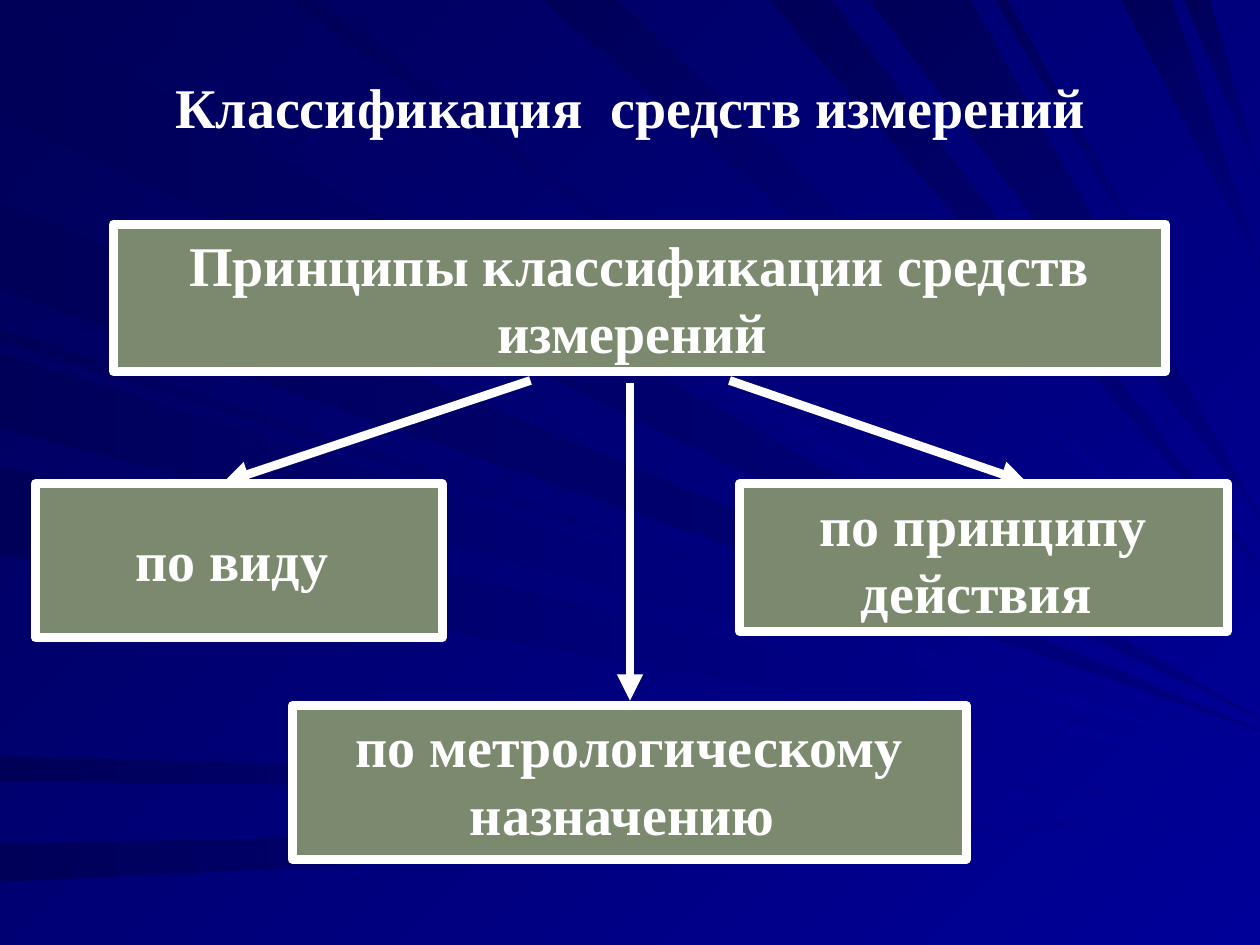
"""Build a slide showing how measuring instruments are classified."""
from lxml import etree
from pptx import Presentation
from pptx.dml.color import RGBColor
from pptx.enum.shapes import MSO_CONNECTOR, MSO_SHAPE
from pptx.enum.text import MSO_ANCHOR, PP_ALIGN
from pptx.oxml.ns import qn
from pptx.util import Inches, Pt

WHITE = RGBColor(0xFF, 0xFF, 0xFF)
OLIVE = RGBColor(0x7B, 0x8A, 0x6E)
NIGHT = RGBColor(0x00, 0x00, 0x58)
NAVY = RGBColor(0x00, 0x00, 0x80)
BLUE = RGBColor(0x00, 0x00, 0x99)
FONT = "Times New Roman"

LEFT_RAYS = [
    (0, 0.9, 5.7, NAVY), (6, 6.2, 6.3, BLUE), (6.7, 7, 6.5, BLUE),
    (1.6, 2.3, 5.8, NAVY), (2.6, 2.7, 5.9, BLUE), (2.8, 3.4, 6, BLUE),
    (3.7, 4.4, 6.1, BLUE),
]
TOP_RAYS = [
    (0.3, 1, 5.6, BLUE), (2.3, 2.5, 5.5, BLUE), (4.3, 4.9, 4.9, BLUE),
    (6.1, 6.6, 4.5, NAVY), (6.9, 7.7, 4.1, NAVY), (7.9, 8, 3.6, BLUE),
    (8.9, 9.3, 2.1, NAVY), (9.4, 9.6, 1.4, NAVY),
]

BOXES = [
    ("Принципы классификации средств измерений ", 0.9, 1.78, 8.35, 1.17, 0.05),
    ("по виду ", 0.28, 3.84, 3.23, 1.22, 0.33),
    ("по принципу действия ", 5.87, 3.84, 3.87, 1.17, 0.05),
    ("по метрологическому назначению ", 2.32, 5.6, 5.35, 1.22, 0.05),
]

ARROWS = [(4.21, 3.02, 1.77, 3.83), (5.79, 3.02, 8.15, 3.83), (5, 3.04, 5, 5.56)]


def paint(fill, end, angle):
    fill.gradient()
    fill.gradient_angle = (360 - angle) % 360
    for stop, color in zip(fill.gradient_stops, (NIGHT, end)):
        stop.color.rgb = color


def write(sp, text, anchor, top=0.05):
    tf = sp.text_frame
    tf.word_wrap = True
    tf.vertical_anchor = anchor
    tf.margin_top = Inches(top)
    p = tf.paragraphs[0]
    p.text = text
    p.alignment = PP_ALIGN.CENTER
    p.font.name = FONT
    p.font.size = Pt(32)
    p.font.bold = True
    p.font.color.rgb = WHITE


prs = Presentation()
prs.slide_width = Inches(10)
prs.slide_height = Inches(7.5)
s = prs.slides.add_slide(prs.slide_layouts[6])
paint(s.background.fill, BLUE, 45)

rays = [((0, a), (0, b), y, color, 0) for a, b, y, color in LEFT_RAYS]
rays += [((a, 0), (b, 0), y, color, 45) for a, b, y, color in TOP_RAYS]
for first, second, y, color, angle in rays:
    points = [(Inches(px), Inches(py)) for px, py in (first, second, (10, y))]
    builder = s.shapes.build_freeform(*points[0])
    builder.add_line_segments(points[1:], close=True)
    sp = builder.convert_to_shape()
    sp.shadow.inherit = False
    sp.line.fill.background()
    paint(sp.fill, color, angle)

title = s.shapes.add_textbox(Inches(0.24), Inches(0.52), Inches(9.53), Inches(0.64))
write(title, "Классификация  средств измерений", MSO_ANCHOR.MIDDLE)

for x1, y1, x2, y2 in ARROWS:
    arrow = s.shapes.add_connector(
        MSO_CONNECTOR.STRAIGHT, Inches(x1), Inches(y1), Inches(x2), Inches(y2))
    arrow.line.color.rgb = WHITE
    arrow.line.width = Pt(5)
    ln = arrow._element.spPr.find(qn("a:ln"))
    etree.SubElement(ln, qn("a:tailEnd"), type="triangle")
    etree.SubElement(arrow._element.spPr, qn("a:effectLst"))

for text, left, top, width, height, margin in BOXES:
    sp = s.shapes.add_shape(
        MSO_SHAPE.RECTANGLE, Inches(left), Inches(top), Inches(width), Inches(height))
    sp.shadow.inherit = False
    sp.fill.solid()
    sp.fill.fore_color.rgb = OLIVE
    sp.line.color.rgb = WHITE
    sp.line.width = Pt(5)
    write(sp, text, MSO_ANCHOR.TOP, margin)

prs.save("out.pptx")
